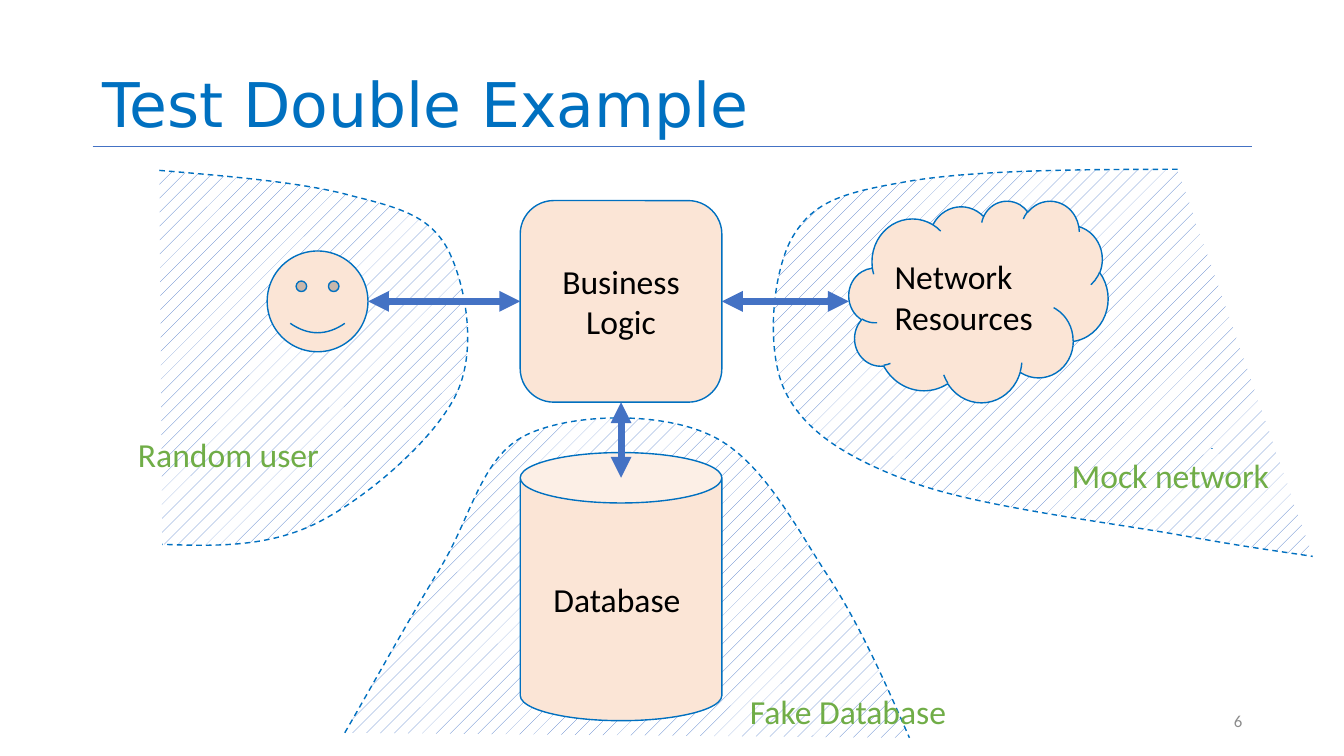
from dataclasses import dataclass

from lxml import etree
from pptx import Presentation
from pptx import util as u
from pptx.dml.color import RGBColor
from pptx.enum import dml, shapes, text
from pptx.oxml.ns import qn

BLUE = RGBColor(0x00, 0x70, 0xC0)
ACCENT = RGBColor(0x44, 0x72, 0xC4)
PEACH = RGBColor(0xFB, 0xE5, 0xD6)
GREEN = RGBColor(0x70, 0xAD, 0x47)
GRAY = RGBColor(0x8C, 0x8C, 0x8C)
BLACK = RGBColor(0x00, 0x00, 0x00)
WHITE = RGBColor(0xFF, 0xFF, 0xFF)

LEFT, CENTER, RIGHT = text.PP_ALIGN.LEFT, text.PP_ALIGN.CENTER, text.PP_ALIGN.RIGHT
SHAPE = shapes.MSO_SHAPE
CURVE_STEPS = 16

Point = tuple[float, float]


@dataclass
class Node:
    kind: SHAPE
    box: tuple[float, float, float, float]
    label: str = ""
    align: text.PP_ALIGN = LEFT
    inset: float = 0.1


@dataclass
class Label:
    words: str
    box: tuple[float, float, float, float]
    size: int = 24
    color: RGBColor = GREEN
    font: str = "Calibri"
    align: text.PP_ALIGN = LEFT
    anchor: text.MSO_ANCHOR = text.MSO_ANCHOR.MIDDLE
    wrap: bool = False
    spacing: float = 1.0


@dataclass
class Arrow:
    start: Point
    end: Point
    begin_side: int | None = None  # side of the business logic box
    end_side: int | None = None


# Boundaries: a start point, then two control points and an end point per curve
ZONES: list[list[Point]] = [
    [(1.58, 1.69),
     (2.29, 1.75), (3.01, 1.81), (3.48, 1.94),
     (3.96, 2.06), (4.26, 2.14), (4.44, 2.47),
     (4.61, 2.8), (4.74, 3.45), (4.53, 3.9),
     (4.32, 4.35), (3.65, 4.93), (3.16, 5.18),
     (2.67, 5.43), (2.14, 5.42), (1.61, 5.4)],
    [(3.42, 7.27),
     (3.75, 6.7), (4.07, 6.12), (4.37, 5.63),
     (4.67, 5.14), (4.77, 4.54), (5.21, 4.32),
     (5.65, 4.1), (6.53, 4.08), (7.03, 4.31),
     (7.53, 4.53), (7.86, 5.17), (8.19, 5.68),
     (8.52, 6.18), (8.77, 6.75), (9.02, 7.32)],
    [(11.68, 1.68),
     (10.63, 1.68), (9.59, 1.69), (8.95, 1.81),
     (8.31, 1.92), (8.05, 2.02), (7.85, 2.37),
     (7.66, 2.72), (7.59, 3.48), (7.79, 3.89),
     (7.99, 4.29), (8.41, 4.55), (9.06, 4.79),
     (9.72, 5.03), (11.05, 5.19), (11.71, 5.31),
     (12.37, 5.43), (12.69, 5.47), (13.02, 5.52)],
]

BUSINESS = Node(SHAPE.ROUNDED_RECTANGLE, (5.16, 1.99, 2, 2), "Business Logic", CENTER)
NODES = [
    Node(SHAPE.CLOUD, (8.42, 1.99, 2.57, 2), "Network\nResources"),
    Node(SHAPE.CAN, (5.16, 4.49, 2, 2.66), "Database", inset=0.33),
    BUSINESS,
    Node(SHAPE.SMILEY_FACE, (2.65, 2.49, 1, 1)),
    Node(SHAPE.RECTANGLE, (12.02, 4.45, 0, 0)),  # small dot above the network label
]
ARROWS = [
    Arrow((7.16, 2.99), (8.42, 2.99), begin_side=3),
    Arrow((6.16, 3.99), (6.16, 4.74), begin_side=2),
    Arrow((3.65, 2.99), (5.16, 2.99), end_side=1),
]
LABELS = [
    Label("Test Double Example", (0.92, 0, 11.5, 1.45), 44, BLUE, "DejaVu Sans",
          anchor=text.MSO_ANCHOR.BOTTOM, wrap=True, spacing=0.9),
    Label("6", (9.42, 6.95, 3, 0.4), 12, GRAY, align=RIGHT, wrap=True),
    Label("Mock network", (10.53, 4.46, 2.18, 0.5)),
    Label("Fake Database", (7.34, 6.87, 2.16, 0.37)),
    Label("Random user", (1.27, 4.25, 2.01, 0.5)),
]


def inches(values) -> list[u.Length]:
    return [u.Inches(value) for value in values]


def write_text(shape, words: str, *, size: int = 24, color: RGBColor = BLACK,
               font: str = "Calibri", align=LEFT, anchor=text.MSO_ANCHOR.MIDDLE,
               wrap: bool = True, spacing: float = 1.0, inset: float = 0.1) -> None:
    frame = shape.text_frame
    frame.text = words
    frame.word_wrap = wrap
    frame.vertical_anchor = anchor
    frame.margin_left = u.Inches(inset)
    for paragraph in frame.paragraphs:
        paragraph.alignment = align
        paragraph.line_spacing = spacing
        for run in paragraph.runs:
            run.font.name = font
            run.font.size = u.Pt(size)
            run.font.color.rgb = color


def outline(shape) -> None:
    shape.shadow.inherit = False
    shape.line.color.rgb = BLUE
    shape.line.width = u.Pt(1)


def curve_points(zone: list[Point]) -> list[Point]:
    """Sample the chain of cubic curves to find how far it reaches."""
    points = []
    for first in range(0, len(zone) - 1, 3):
        corners = zone[first:first + 4]
        for step in range(1, CURVE_STEPS + 1):
            t = step / CURVE_STEPS
            weights = ((1 - t) ** 3, 3 * t * (1 - t) ** 2, 3 * t * t * (1 - t), t ** 3)
            points.append(tuple(
                sum(weight * corner[axis] for weight, corner in zip(weights, corners))
                for axis in (0, 1)))
    return points


def bend_outline(shape, zone: list[Point]) -> None:
    """Put true cubic curves in place of the straight segments."""
    segments = list(shape._element.iter(qn("a:lnTo")))
    contour = segments[0].getparent()
    for segment in segments:
        contour.remove(segment)
    for first in range(1, len(zone), 3):
        curve = etree.SubElement(contour, qn("a:cubicBezTo"))
        for x, y in zone[first:first + 3]:
            etree.SubElement(curve, qn("a:pt"), x=str(u.Inches(x) - shape.left),
                             y=str(u.Inches(y) - shape.top))


def draw_zone(slide, zone: list[Point]) -> None:
    builder = slide.shapes.build_freeform(*inches(zone[0]))
    builder.add_line_segments([inches(point) for point in curve_points(zone)], close=False)
    shape = builder.convert_to_shape()
    bend_outline(shape, zone)
    outline(shape)
    shape.line.dash_style = dml.MSO_LINE.DASH
    shape.fill.patterned()
    shape.fill.pattern = dml.MSO_PATTERN.PERCENT_5
    shape.fill.fore_color.rgb = ACCENT
    shape.fill.back_color.rgb = WHITE


def draw_node(slide, node: Node):
    shape = slide.shapes.add_shape(node.kind, *inches(node.box))
    outline(shape)
    shape.fill.solid()
    shape.fill.fore_color.rgb = PEACH
    if node.label:
        write_text(shape, node.label, align=node.align, inset=node.inset)
    return shape


def draw_label(slide, label: Label) -> None:
    write_text(slide.shapes.add_textbox(*inches(label.box)), label.words,
               size=label.size, color=label.color, font=label.font, align=label.align,
               anchor=label.anchor, wrap=label.wrap, spacing=label.spacing)


def draw_line(slide, start: Point, end: Point, width: float):
    line = slide.shapes.add_connector(shapes.MSO_CONNECTOR.STRAIGHT, *inches(start + end))
    line.line.color.rgb = ACCENT
    line.line.width = u.Pt(width)
    etree.SubElement(line._element.spPr, qn("a:effectLst"))
    return line


def draw_arrow(slide, arrow: Arrow, business) -> None:
    connector = draw_line(slide, arrow.start, arrow.end, 5)
    for tag in ("a:headEnd", "a:tailEnd"):
        etree.SubElement(connector.line._get_or_add_ln(), qn(tag), type="triangle")
    if arrow.begin_side is not None:
        connector.begin_connect(business, arrow.begin_side)
    if arrow.end_side is not None:
        connector.end_connect(business, arrow.end_side)


def main() -> None:
    presentation = Presentation()
    presentation.slide_width, presentation.slide_height = inches((13.33, 7.5))
    slide = presentation.slides.add_slide(presentation.slide_layouts[6])
    # Title rule and hatched zones
    draw_line(slide, (0.92, 1.45), (12.42, 1.45), 0.5)
    for zone in ZONES:
        draw_zone(slide, zone)
    # System parts and the arrows between them
    drawn = [draw_node(slide, node) for node in NODES]
    business = drawn[NODES.index(BUSINESS)]
    for arrow in ARROWS:
        draw_arrow(slide, arrow, business)
    # Title, slide number and test double names
    for label in LABELS:
        draw_label(slide, label)
    presentation.save("out.pptx")


if __name__ == "__main__":
    main()
